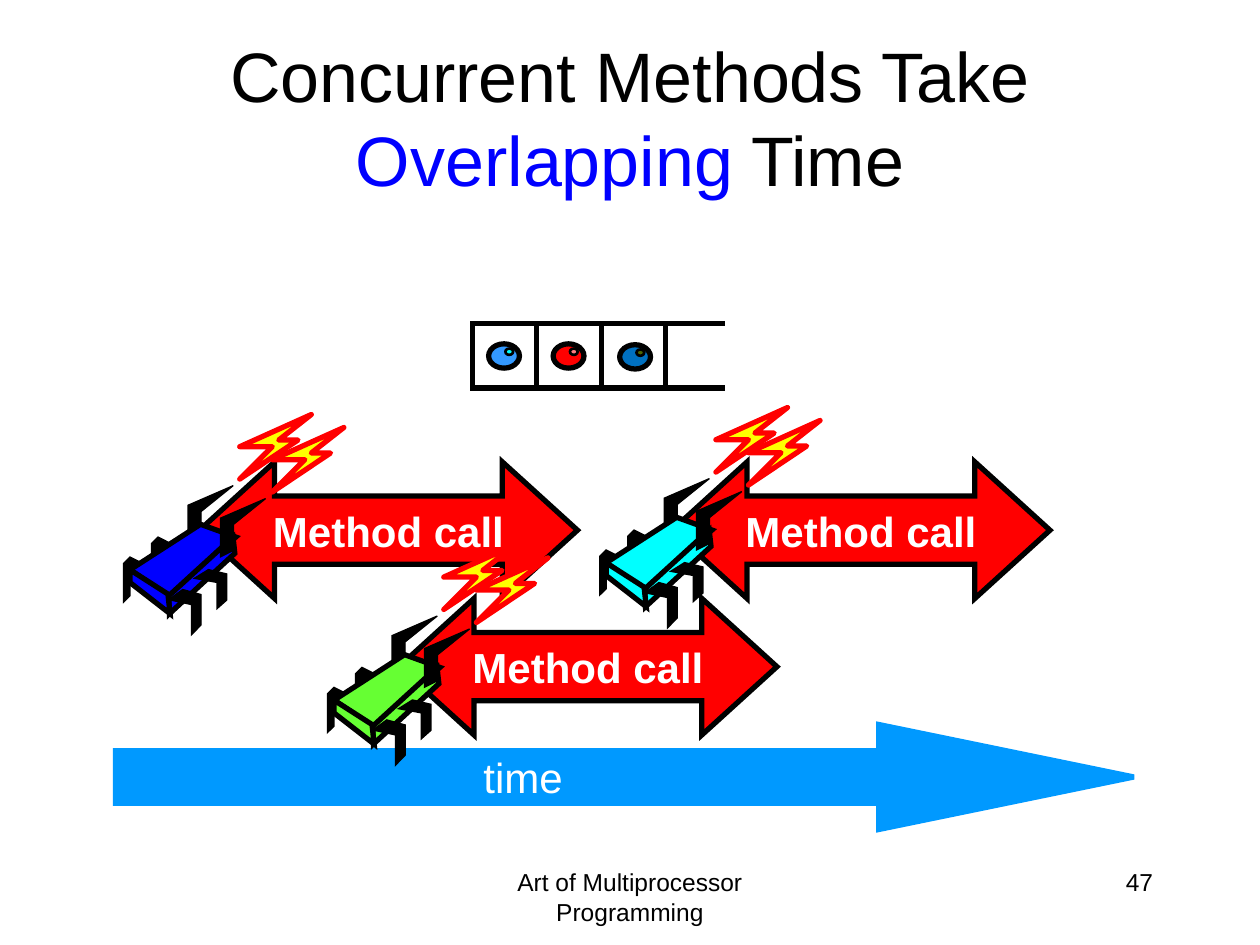
from dataclasses import dataclass
from typing import NamedTuple

from lxml import etree
from pptx import Presentation
from pptx.dml.color import RGBColor
from pptx.enum.shapes import MSO_CONNECTOR, MSO_SHAPE
from pptx.enum.text import MSO_ANCHOR, PP_ALIGN
from pptx.oxml.ns import qn
from pptx.util import Pt

LINE = MSO_CONNECTOR.STRAIGHT
RECT, OVAL = MSO_SHAPE.RECTANGLE, MSO_SHAPE.OVAL
ARROW, DOUBLE = MSO_SHAPE.RIGHT_ARROW, MSO_SHAPE.LEFT_RIGHT_ARROW
LEFT, CENTER, RIGHT = PP_ALIGN.LEFT, PP_ALIGN.CENTER, PP_ALIGN.RIGHT
TOP, MIDDLE = MSO_ANCHOR.TOP, MSO_ANCHOR.MIDDLE


@dataclass(frozen=True)
class Theme:
    font: str = "Arial"
    head: int = 40
    label: int = 24
    foot: int = 14
    thick: float = 3
    thin: float = 1.5
    hair: float = 0.75
    black: str = "000000"
    white: str = "FFFFFF"
    red: str = "FF0000"
    yellow: str = "FFFF00"
    blue: str = "0000FF"
    cyan: str = "00FFFF"
    green: str = "66FF33"
    time: str = "0099FF"


class Box(NamedTuple):
    x: float
    y: float
    w: float
    h: float


class Part(NamedTuple):
    kind: str
    x: float
    y: float
    points: list
    stretch: float = 1


class Bug(NamedTuple):
    x: float
    y: float
    color: str


class Ball(NamedTuple):
    x: float
    y: float
    color: str
    shine: str


class Call(NamedTuple):
    x: float
    y: float


THEME = Theme()
BOLT = [(0, 36.9), (18.6, 18.4), (0, 18.4), (40.9, 0), (22.3, 14.6), (33.3, 14.6)]
FEELER = [(0, 33.3), (7.4, 29.6), (7.4, 14.8), (25.8, 0), (0, 11.2)]
BACK = [(11, 3.7), (3.7, 0), (0, 3.7), (0, 25.8), (3.7, 22.2), (3.7, 7.4), (11, 11.1)]
FRONT = [(8, 0), (0, 5.8), (13, 8.6), (13, 25.9), (18.5, 20.2), (18.5, 2.9)]
PARTS = [
    Part("bolt", 66.4, 0, BOLT),
    Part("limb", 36.9, 40.6, FEELER),
    Part("limb", 0, 81.4, BACK),
    Part("limb", 16, 70, BACK),
    Part("body", 0, 0, [(44, 62.7), (3.7, 88.7), (26, 104), (64.2, 70)]),
    Part("body", 0, 0, [(62.6, 70), (25.8, 103.6), (26.2, 113.8), (63.6, 79.3)]),
    Part("body", 0, 0, [(3.7, 88.7), (3.7, 96), (26.6, 113.8), (25.4, 102.6)]),
    Part("limb", 25.8, 100, FRONT),
    Part("limb", 40.5, 88.6, FRONT, 0.86),
    Part("limb", 55.4, 48, FEELER),
    Part("bolt", 85, 7.4, BOLT),
]
CALLS = [Call(114, 264), Call(384, 264), Call(228, 342)]
BUGS = [
    Bug(70.6, 236.9, THEME.blue),
    Bug(342.7, 232.9, THEME.cyan),
    Bug(187.2, 311.4, THEME.green),
]
BALLS = [
    Ball(279.2, 196.5, "3399FF", THEME.cyan),
    Ball(316.1, 196.5, THEME.red, "FF7C80"),
    Ball(354.1, 197, "0070C0", "4C6600"),
]


def apply(target, values: dict) -> None:
    for name, value in values.items():
        setattr(target, name, value)


def paint(shape, fill: str | None, line: str, width: float, miter: bool = True) -> None:
    shape.shadow.inherit = False
    if fill:
        shape.fill.solid()
        shape.fill.fore_color.rgb = RGBColor.from_string(fill)
    else:
        shape.fill.background()
    ink(shape, line, width, miter)


def ink(shape, color: str, width: float, miter: bool = True) -> None:
    shape.line.color.rgb = RGBColor.from_string(color)
    shape.line.width = Pt(width)
    tag = "a:miter" if miter else "a:round"
    join = etree.SubElement(shape.line._get_or_add_ln(), qn(tag))
    if miter:
        join.set("lim", "800000")


def add_form(shapes, kind, box: Box, fill: str | None, line: str, width: float):
    shape = shapes.add_shape(kind, *map(Pt, box))
    paint(shape, fill, line, width)
    return shape


def write(shape, runs: list, size: int, align=CENTER, anchor=TOP,
          wrap: bool = True, bold: bool = False) -> None:
    frame = shape.text_frame
    apply(frame, {"word_wrap": wrap, "vertical_anchor": anchor})
    para = frame.paragraphs[0]
    para.alignment = align
    for text, color in runs:
        run = para.add_run()
        run.text = text
        apply(run.font, {"name": THEME.font, "size": Pt(size), "bold": bold})
        run.font.color.rgb = RGBColor.from_string(color)


def add_text(shapes, box: Box, text: str, color: str, size: int,
             align=CENTER, wrap: bool = True) -> None:
    write(shapes.add_textbox(*map(Pt, box)), [(text, color)], size, align, wrap=wrap)


def add_call(shapes, call: Call) -> None:
    arrow = add_form(shapes, DOUBLE, Box(call.x, call.y, 216, 78),
                     THEME.red, THEME.black, THEME.thick)
    arrow.adjustments[0], arrow.adjustments[1] = 0.5, 0.55
    write(arrow, [("Method call", THEME.white)], THEME.label,
          anchor=MIDDLE, wrap=False, bold=True)


def add_bug(shapes, bug: Bug) -> None:
    group = shapes.add_group_shape().shapes
    looks = {
        "bolt": (THEME.yellow, THEME.red, THEME.thick, False),
        "limb": (THEME.black, THEME.black, THEME.hair),
        "body": (bug.color, THEME.black, THEME.thick),
    }
    for part in PARTS:
        spots = [(Pt(bug.x + part.x + x), Pt(bug.y + part.y + y * part.stretch))
                 for x, y in part.points]
        pen = group.build_freeform(*spots[0])
        pen.add_line_segments(spots[1:], close=True)
        paint(pen.convert_to_shape(), *looks[part.kind])


def add_queue(shapes, left: float, top: float, side: float) -> None:
    group = shapes.add_group_shape().shapes
    for slot, ball in enumerate(BALLS):
        add_form(group, OVAL, Box(ball.x, ball.y, 17.6, 13.9),
                 ball.color, THEME.black, THEME.thick)
        add_form(group, OVAL, Box(ball.x + 9.6, ball.y + 2.7, 4.4, 3.6),
                 ball.shine, THEME.black, THEME.thin)
        add_form(group, RECT, Box(left + slot * side, top, side, side),
                 None, THEME.black, THEME.thick)
    for y in (top, top + side):
        rail = group.add_connector(LINE, Pt(377.3), Pt(y), Pt(414), Pt(y))
        ink(rail, THEME.black, THEME.thick)
        etree.SubElement(rail._element.spPr, qn("a:effectLst"))


def main() -> None:
    deck = Presentation()
    apply(deck, {"slide_width": Pt(720), "slide_height": Pt(540)})
    slide = deck.slides.add_slide(deck.slide_layouts[5])
    shapes = slide.shapes
    title = shapes.title
    apply(title, dict(zip(("left", "top", "width", "height"),
                          map(Pt, Box(36, 21.6, 648, 90)))))
    write(title, [("Concurrent Methods Take ", THEME.black),
                  ("Overlapping", THEME.blue), (" Time", THEME.black)],
          THEME.head, anchor=MIDDLE)
    add_text(shapes, Box(246, 492, 228, 36), "Art of Multiprocessor Programming",
             THEME.black, THEME.foot)
    add_text(shapes, Box(516, 492, 150, 36), "47", THEME.black, THEME.foot, RIGHT)
    arrow = add_form(shapes, ARROW, Box(66, 414, 582, 60),
                     THEME.time, THEME.time, THEME.thick)
    arrow.adjustments[0], arrow.adjustments[1] = 0.5, 2.43
    add_text(shapes, Box(268.6, 426, 60, 36), "time", THEME.white, THEME.label,
             RIGHT, wrap=False)
    add_queue(shapes, 270, 185, 36.8)
    for call in CALLS:
        add_call(shapes, call)
    for bug in BUGS:
        add_bug(shapes, bug)
    deck.save("out.pptx")


if __name__ == "__main__":
    main()
